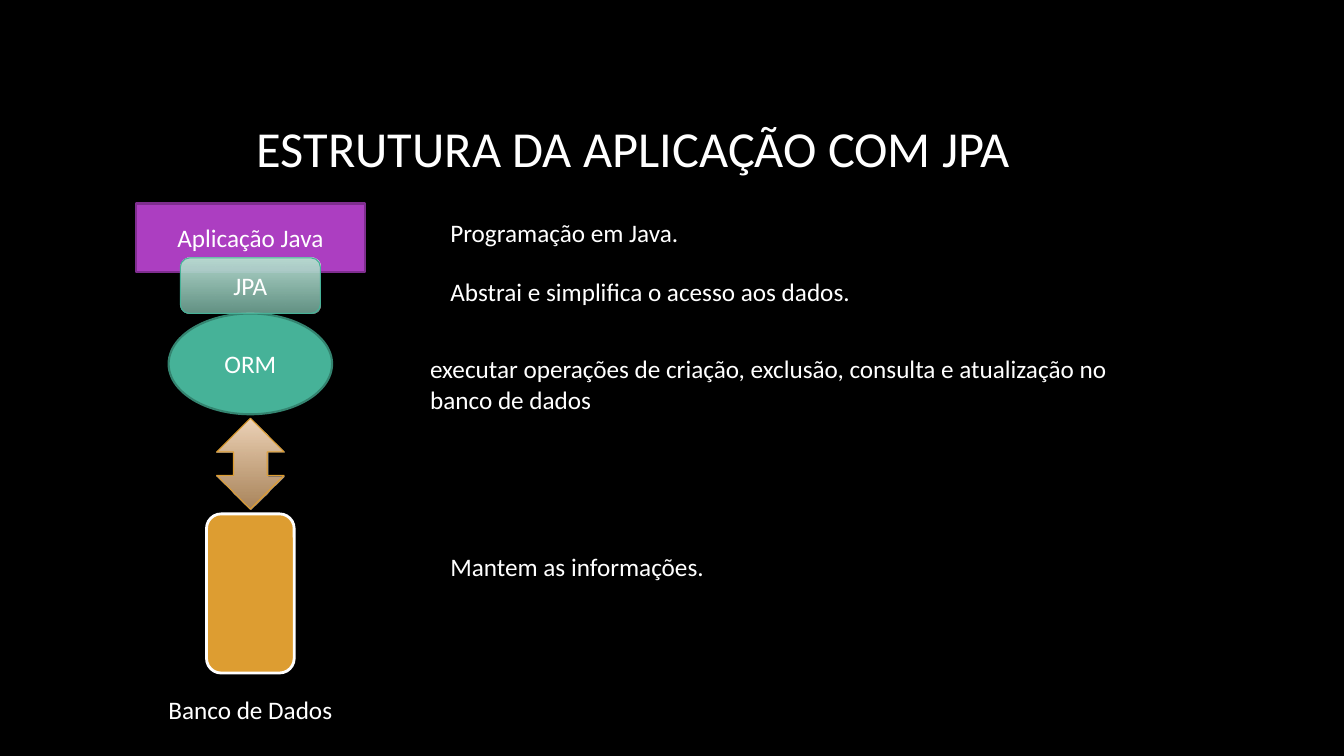
from dataclasses import dataclass

from lxml.etree import SubElement
from pptx import Presentation
from pptx.dml.color import RGBColor
from pptx.enum.shapes import MSO_SHAPE as Shape
from pptx.enum.text import MSO_ANCHOR as Anchor, PP_ALIGN as Align
from pptx.oxml.ns import qn
from pptx.util import Cm, Pt


@dataclass(frozen=True)
class Theme:
    font: str = "Calibri"
    title_size: int = 36
    body_size: int = 18
    background: str = "000000"
    text: str = "FFFFFF"
    purple: str = "AC3EC1"
    purple_line: str = "7F2E8F"
    green: str = "46B298"
    green_line: str = "348470"
    green_fade: tuple = ("B7DACF", "85C3B1")
    orange: str = "DD9D31"
    orange_fade: tuple = ("EFD5BA", "E4B47E")
    fade_opacity: int = 74


THEME = Theme()
STACK_CENTER = 6.31


def color(value):
    return RGBColor.from_string(value)


def write(shape, text, size=THEME.body_size, align=Align.CENTER, anchor=Anchor.MIDDLE):
    frame = shape.text_frame
    frame.word_wrap = True
    frame.vertical_anchor = anchor
    para = frame.paragraphs[0]
    para.text = text
    para.alignment = align
    para.font.name = THEME.font
    para.font.size = Pt(size)
    para.font.color.rgb = color(THEME.text)


def add_text(page, text, left, top, width, height, **style):
    box = page.shapes.add_textbox(Cm(left), Cm(top), Cm(width), Cm(height))
    write(box, text, **style)


def fade(shape, stops):
    """Fill downwards from an opaque colour to a translucent one."""
    shape.fill.gradient()
    shape.fill.gradient_angle = 270
    for stop, value in zip(shape.fill.gradient_stops, stops):
        stop.color.rgb = color(value)
    last_color = shape.element.xpath(".//a:gs/a:srgbClr")[-1]
    SubElement(last_color, qn("a:alpha"), val=str(THEME.fade_opacity * 1000))


def add_layer(page, kind, top, width, height, fill, line, weight, text=""):
    """Add one shape of the stack, centred on its axis."""
    left = STACK_CENTER - width / 2
    shape = page.shapes.add_shape(kind, Cm(left), Cm(top), Cm(width), Cm(height))
    shape.shadow.inherit = False
    if isinstance(fill, tuple):
        fade(shape, fill)
    else:
        shape.fill.solid()
        shape.fill.fore_color.rgb = color(fill)
    shape.line.color.rgb = color(line)
    shape.line.width = Pt(weight)
    if text:
        write(shape, text)


def add_stack(page):
    add_layer(page, Shape.RECTANGLE, 5.13, 5.77, 1.73,
              THEME.purple, THEME.purple_line, 1.5, "Aplicação Java")
    add_layer(page, Shape.OVAL, 7.9, 4.12, 2.54,
              THEME.green, THEME.green_line, 1.5, "ORM")
    add_layer(page, Shape.ROUNDED_RECTANGLE, 12.95, 2.21, 4.01,
              THEME.orange, THEME.text, 2)
    add_layer(page, Shape.UP_DOWN_ARROW, 10.54, 1.7, 2.29,
              THEME.orange_fade, THEME.orange, 0.75)
    add_layer(page, Shape.ROUNDED_RECTANGLE, 6.5, 3.53, 1.4,
              THEME.green_fade, THEME.green, 0.75, "JPA")
    add_text(page, "Banco de Dados", STACK_CENTER - 3.76, 17.37, 7.52, 1.02,
             anchor=Anchor.TOP)


def add_descriptions(page):
    descriptions = [
        ("Programação em Java.", 11.1, 5.36, 18.82, 1.02),
        ("Abstrai e simplifica o acesso aos dados.", 11.1, 6.83, 14.38, 1.8),
        ("executar operações de criação, exclusão, consulta e atualização no banco de dados",
         10.59, 8.79, 18.03, 2.57),
        ("Mantem as informações.", 11.1, 13.77, 15.88, 1.02),
    ]
    for text, *place in descriptions:
        add_text(page, text, *place, align=Align.LEFT, anchor=Anchor.TOP)


def main():
    deck = Presentation()
    deck.slide_width, deck.slide_height = Cm(33.87), Cm(19.05)
    page = deck.slides.add_slide(deck.slide_layouts[6])
    page.background.fill.solid()
    page.background.fill.fore_color.rgb = color(THEME.background)
    add_text(page, "ESTRUTURA DA APLICAÇÃO COM JPA", 1.9, 1.7, 28.14, 4.04,
             size=THEME.title_size)
    add_stack(page)
    add_descriptions(page)
    deck.save("out.pptx")


if __name__ == "__main__":
    main()
